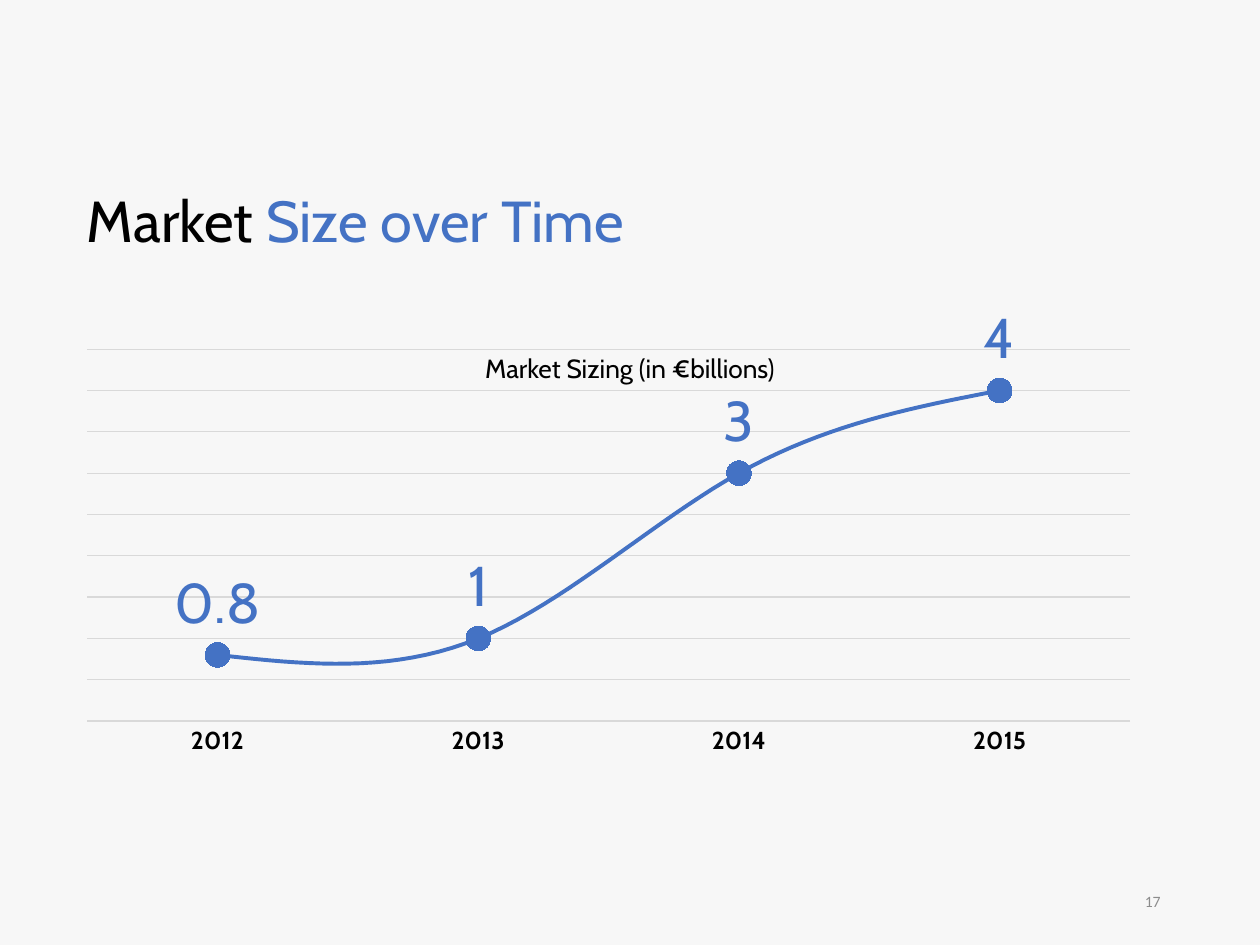
import pptx
import pptx.chart.data
import pptx.dml.color
import pptx.enum.chart
import pptx.enum.text
import pptx.oxml
import pptx.oxml.ns
import pptx.util

Cm, Pt = pptx.util.Cm, pptx.util.Pt
RGBColor = pptx.dml.color.RGBColor
ALIGN = pptx.enum.text.PP_ALIGN
ANCHOR = pptx.enum.text.MSO_ANCHOR

BACKGROUND = RGBColor(0xF7, 0xF7, 0xF7)
BLACK = RGBColor(0, 0, 0)
BLUE = RGBColor(0x44, 0x72, 0xC4)
GRID = RGBColor(0xD9, 0xD9, 0xD9)
GREY = RGBColor(0x8C, 0x8C, 0x8C)
FONT = "Cabin"

YEARS = ["2012", "2013", "2014", "2015"]
BILLIONS = [0.8, 1, 3, 4]
PLOT_LAYOUT = {"x": 0.02, "y": 0.11, "w": 0.96, "h": 0.75}


def format_font(font, size, color, name=FONT, bold=False):
    font.size, font.name, font.bold = Pt(size), name, bold
    font.color.rgb = color


def write_text(shape, runs, size, font=FONT, align=ALIGN.LEFT,
               anchor=ANCHOR.TOP, wrap=True, line_spacing=1.0):
    """Fill a shape with one paragraph of (text, colour) runs."""
    frame = shape.text_frame
    frame.auto_size = pptx.enum.text.MSO_AUTO_SIZE.NONE
    frame.word_wrap = wrap
    frame.vertical_anchor = anchor
    paragraph = frame.paragraphs[0]
    paragraph.alignment = align
    paragraph.line_spacing = line_spacing
    for text, color in runs:
        run = paragraph.add_run()
        run.text = text
        format_font(run.font, size, color, font)


def add_heading(slide, left, top, width, height):
    heading = slide.shapes.title
    heading.left, heading.top = Cm(left), Cm(top)
    heading.width, heading.height = Cm(width), Cm(height)
    heading.text_frame.margin_left = 0
    write_text(heading, [("Market ", BLACK), ("Size over Time", BLUE)], 33,
               line_spacing=0.9)


def set_plot_layout(chart):
    """Fix the inner plot area as fractions of the chart."""
    plot_area = chart.element.chart.plotArea
    for old in plot_area.findall(pptx.oxml.ns.qn("c:layout")):
        plot_area.remove(old)
    modes = "".join(f'<c:{side}Mode val="edge"/>' for side in "xy")
    sizes = "".join(f'<c:{key} val="{value}"/>'
                    for key, value in PLOT_LAYOUT.items())
    plot_area.insert(0, pptx.oxml.parse_xml(
        f'<c:layout {pptx.oxml.ns.nsdecls("c")}><c:manualLayout>'
        f'<c:layoutTarget val="inner"/>{modes}{sizes}'
        '</c:manualLayout></c:layout>'))


def format_axes(chart):
    years = chart.category_axis
    years.major_tick_mark = pptx.enum.chart.XL_TICK_MARK.NONE
    years.format.line.color.rgb = GRID
    years.format.line.width = Pt(0.75)
    format_font(years.tick_labels.font, 14, BLACK, bold=True)

    billions = chart.value_axis
    billions.minimum_scale, billions.maximum_scale = 0, 4.5
    billions.major_unit = 0.5
    billions.has_major_gridlines = True
    billions.major_gridlines.format.line.color.rgb = GRID
    billions.major_gridlines.format.line.width = Pt(0.75)
    billions.visible = False


def format_market_line(plot):
    plot.vary_by_categories = False
    market = plot.series[0]
    market.smooth = True
    market.format.line.color.rgb = BLUE
    market.format.line.width = Pt(2.25)
    market.marker.style = pptx.enum.chart.XL_MARKER_STYLE.CIRCLE
    market.marker.size = 14
    market.marker.format.fill.solid()
    market.marker.format.fill.fore_color.rgb = BLUE
    market.marker.format.line.color.rgb = BLUE
    labels = market.data_labels
    labels.show_value = True
    labels.position = pptx.enum.chart.XL_LABEL_POSITION.ABOVE
    format_font(labels.font, 32, BLUE)


def add_market_chart(slide, left, top, width, height):
    data = pptx.chart.data.CategoryChartData()
    data.categories = YEARS
    data.add_series("Series 1", BILLIONS)
    chart = slide.shapes.add_chart(
        pptx.enum.chart.XL_CHART_TYPE.LINE_MARKERS,
        Cm(left), Cm(top), Cm(width), Cm(height), data).chart
    chart.has_title = chart.has_legend = False
    format_font(chart.font, 10, BLACK, "Calibri")
    set_plot_layout(chart)
    format_axes(chart)
    format_market_line(chart.plots[0])

    # Caption, placed from the chart's corner
    caption = slide.shapes.add_textbox(
        Cm(left + 6.83), Cm(top + 1.04), Cm(9.1), Cm(0.9))
    write_text(caption, [("Market Sizing (in €billions)", BLACK)], 15,
               align=ALIGN.CENTER)


def add_page_number(slide, left, top, width, height):
    number = slide.shapes.add_textbox(Cm(left), Cm(top), Cm(width), Cm(height))
    write_text(number, [("17", GREY)], 9, font="Calibri", align=ALIGN.RIGHT,
               anchor=ANCHOR.MIDDLE)


def main():
    deck = pptx.Presentation()
    deck.slide_width, deck.slide_height = Cm(25.4), Cm(19.05)
    slide = deck.slides.add_slide(deck.slide_layouts.get_by_name("Title Only"))
    slide.background.fill.solid()
    slide.background.fill.fore_color.rgb = BACKGROUND

    add_market_chart(slide, 1.32, 5.94, 21.9, 10)
    add_heading(slide, 1.75, 3.76, 12.95, 1.52)
    add_page_number(slide, 17.93, 17.65, 5.72, 1.02)
    deck.save("out.pptx")


if __name__ == "__main__":
    main()
